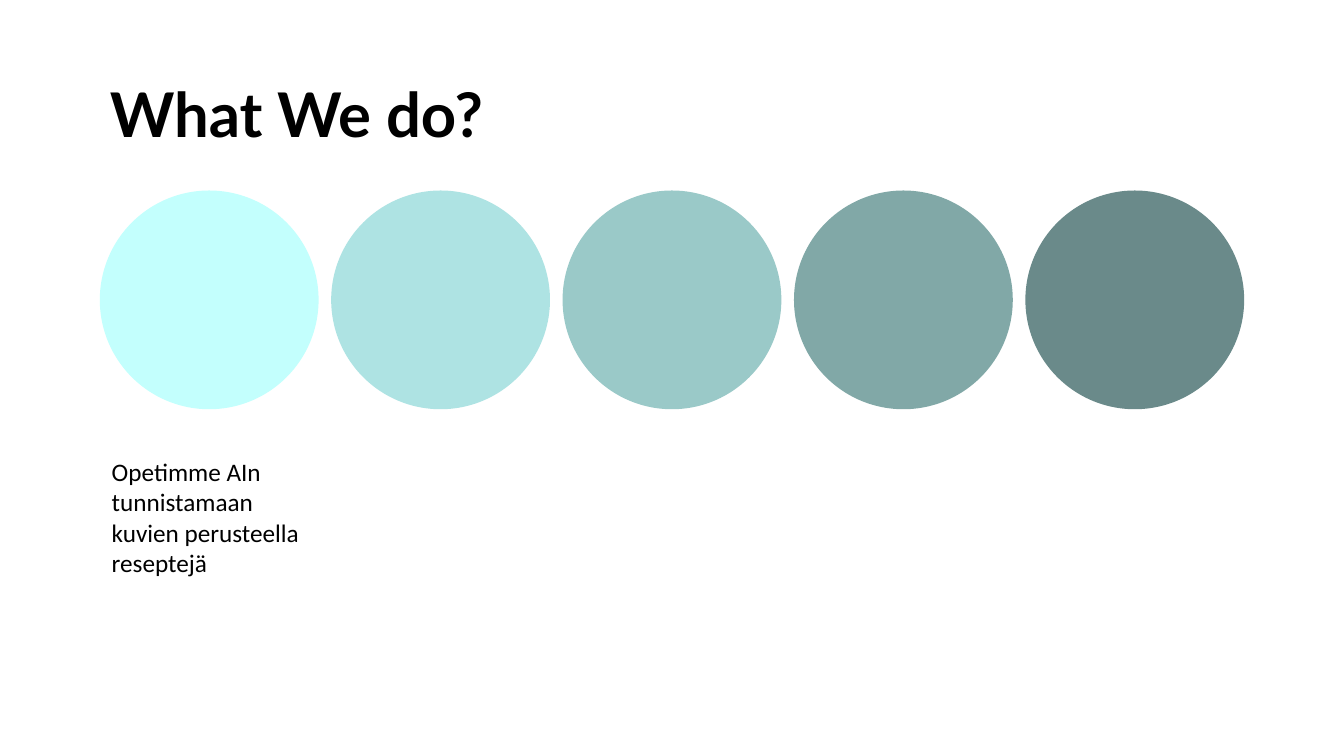
"""Builds the "What We do?" slide with a row of five teal circles."""
from pptx import Presentation
from pptx.dml.color import RGBColor
from pptx.enum import shapes, text
from pptx.util import Inches, Pt

COLOURS = {
    "ink": "000000",
    "ice": "C3FFFD",
    "mist": "AEE3E3",
    "sea": "9AC9C8",
    "sage": "81A8A7",
    "slate": "6A8A8A",
}
HEADING = {
    "words": "What We do?", "box": (0.99, 0.44, 5.22, 1.45), "font": "Lato",
    "size": 44, "bold": True, "anchor": text.MSO_ANCHOR.MIDDLE, "spacing": 0.9,
}
DESCRIPTION = {
    "words": "Opetimme AIn tunnistamaan kuvien perusteella reseptejä",
    "box": (1.01, 4.48, 2.28, 1.31), "font": "Calibri",
    "size": 18, "bold": False, "anchor": text.MSO_ANCHOR.TOP, "spacing": 1.0,
}
CIRCLES = ["ice", "mist", "sea", "sage", "slate"]
ROW_LEFT, ROW_RIGHT, ROW_TOP, DIAMETER = 0.99, 12.34, 1.89, 2.17


def add_words(slide, item):
    left, top, width, height = map(Inches, item["box"])
    frame = slide.shapes.add_textbox(left, top, width, height).text_frame
    frame.word_wrap = True
    frame.vertical_anchor = item["anchor"]
    frame.text = item["words"]
    paragraph = frame.paragraphs[0]
    paragraph.line_spacing = item["spacing"]
    font = paragraph.runs[0].font
    font.name = item["font"]
    font.size = Pt(item["size"])
    font.bold = item["bold"]
    font.color.rgb = RGBColor.from_string(COLOURS["ink"])


def add_circles(slide):
    step = (ROW_RIGHT - ROW_LEFT - DIAMETER) / (len(CIRCLES) - 1)
    for index, shade in enumerate(CIRCLES):
        circle = slide.shapes.add_shape(
            shapes.MSO_SHAPE.OVAL, Inches(ROW_LEFT + index * step),
            Inches(ROW_TOP), Inches(DIAMETER), Inches(DIAMETER))
        circle.shadow.inherit = False
        circle.fill.solid()
        circle.fill.fore_color.rgb = RGBColor.from_string(COLOURS[shade])
        circle.line.fill.background()


def main():
    deck = Presentation()
    deck.slide_width, deck.slide_height = Inches(13.33), Inches(7.5)
    slide = deck.slides.add_slide(deck.slide_layouts[6])
    add_words(slide, HEADING)
    add_circles(slide)
    add_words(slide, DESCRIPTION)
    deck.save("out.pptx")


if __name__ == "__main__":
    main()
